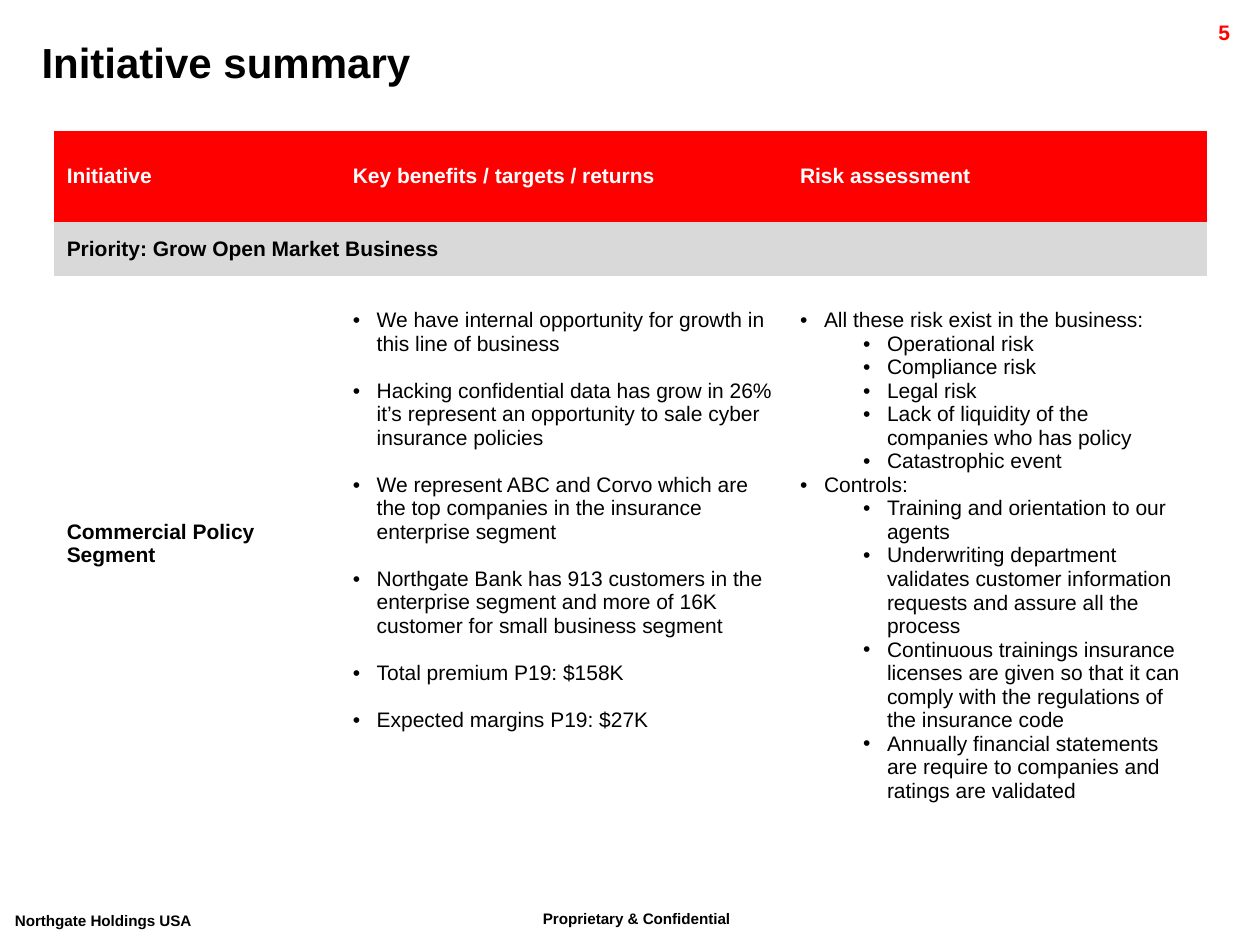
from lxml import etree
from pptx import Presentation
from pptx.dml.color import RGBColor
from pptx.enum.text import MSO_ANCHOR as Anchor, MSO_AUTO_SIZE as AutoSize, PP_ALIGN as Align
from pptx.oxml.ns import qn
from pptx.util import Inches, Pt

COLORS = {"red": "FF0000", "grey": "D9D9D9", "black": "000000", "white": "FFFFFF"}
PLAIN_TABLE = "{2D5ABB26-0587-4C30-8999-92F81FD0307C}"
COLUMNS = [2.27, 3.55, 3.33]
ROWS = [0.72, 0.43, 4.44]
HEADINGS = ["Initiative", "Key benefits / targets / returns", "Risk assessment"]
BENEFITS = [
    "We have internal opportunity for growth in this line of business",
    "Hacking confidential data has grow in 26% it’s represent an opportunity to sale cyber insurance policies",
    "We represent ABC and Corvo which are the top companies in the insurance enterprise segment",
    "Northgate Bank has 913 customers in the enterprise segment and more of 16K customer for small business segment",
    "Total premium P19: $158K",
    "Expected margins P19: $27K",
]
RISKS = {
    "All these risk exist in the business:": [
        "Operational risk",
        "Compliance risk",
        "Legal risk",
        "Lack of liquidity of the companies who has policy",
        "Catastrophic event",
    ],
    "Controls:": [
        "Training and orientation to our agents",
        "Underwriting department validates customer information requests and assure all the process",
        "Continuous trainings insurance licenses are given so that it can comply with the regulations of the insurance code",
        "Annually financial statements are require to companies and ratings are validated",
    ],
}


def apply(target, **values):
    for name, value in values.items():
        setattr(target, name, value)


def write(para, text, size=12, color="black", bold=True):
    span = para.add_run()
    span.text = text
    apply(span.font, name="Arial", size=Pt(size), bold=bold)
    span.font.color.rgb = RGBColor.from_string(COLORS[color])
    return span


def place(shape, left, top, width, height):
    apply(shape, left=Inches(left), top=Inches(top), width=Inches(width), height=Inches(height))


def add_title(page, text):
    title = page.shapes.title
    place(title, 0.23, 0.24, 9.54, 0.5)
    apply(title.text_frame, vertical_anchor=Anchor.MIDDLE, word_wrap=True, auto_size=AutoSize.NONE)
    para = title.text_frame.paragraphs[0]
    para.alignment = Align.LEFT
    write(para, text, 24)


def add_label(page, text, area, size=12, color="black", align=Align.LEFT, raised=False):
    box = page.shapes.add_textbox(*map(Inches, area))
    box.text_frame.word_wrap = True
    para = box.text_frame.paragraphs[0]
    para.alignment = align
    span = write(para, text, size, color)
    if raised:
        span._r.get_or_add_rPr().set("baseline", "30000")


def fill_cell(cell, text="", fill=None, color="black", below=0.05):
    apply(cell, vertical_anchor=Anchor.MIDDLE, margin_bottom=Inches(below))
    if fill:
        cell.fill.solid()
        cell.fill.fore_color.rgb = RGBColor.from_string(COLORS[fill])
    else:
        cell.fill.background()
    if text:
        write(cell.text_frame.paragraphs[0], text, color=color)


def add_bullets(cell, items, gap=0):
    frame = cell.text_frame
    for index, (level, text) in enumerate(items):
        para = frame.add_paragraph() if index else frame.paragraphs[0]
        apply(para, level=level, space_before=Pt(gap if index else 0))
        props = para._p.get_or_add_pPr()
        props.set("marL", str(Inches(0.19 + 0.5 * level)))
        props.set("indent", str(Inches(-0.19)))
        etree.SubElement(props, qn("a:buFont")).set("typeface", "Arial")
        etree.SubElement(props, qn("a:buChar")).set("char", "•")
        write(para, text, bold=False)


def add_summary(page):
    area = map(Inches, (0.43, 1.04, sum(COLUMNS), sum(ROWS)))
    frame = page.shapes.add_table(len(ROWS), len(COLUMNS), *area)
    table = frame.table
    table._tbl.tblPr.find(qn("a:tableStyleId")).text = PLAIN_TABLE
    table.horz_banding = False
    for column, width in zip(table.columns, COLUMNS):
        column.width = Inches(width)
    for row, height in zip(table.rows, ROWS):
        row.height = Inches(height)
    for index, heading in enumerate(HEADINGS):
        fill_cell(table.cell(0, index), heading, "red", "white")
    priority = table.cell(1, 0)
    priority.merge(table.cell(1, len(COLUMNS) - 1))
    fill_cell(priority, "Priority: Grow Open Market Business", "grey")

    segment, benefits, risks = (table.cell(2, index) for index in range(len(COLUMNS)))
    fill_cell(segment, "Commercial Policy Segment", below=0.24)
    fill_cell(benefits, below=0.61)
    fill_cell(risks)
    add_bullets(benefits, [(0, text) for text in BENEFITS], gap=13.4)
    add_bullets(risks, [
        item
        for group, details in RISKS.items()
        for item in [(0, group), *((1, text) for text in details)]
    ])


def main():
    deck = Presentation()
    apply(deck, slide_width=Inches(10), slide_height=Inches(7.5))
    page = deck.slides.add_slide(deck.slide_layouts[5])
    add_label(page, "Proprietary & Confidential", (4.21, 7.14, 2.18, 0.35), 15, raised=True)
    add_label(page, "Northgate Holdings USA", (0.02, 7.16, 1.91, 0.33), 15, raised=True)
    add_label(page, "5", (8.91, 0.11, 0.95, 0.24), color="red", align=Align.RIGHT)
    add_title(page, "Initiative summary")
    add_summary(page)
    deck.save("out.pptx")


if __name__ == "__main__":
    main()
